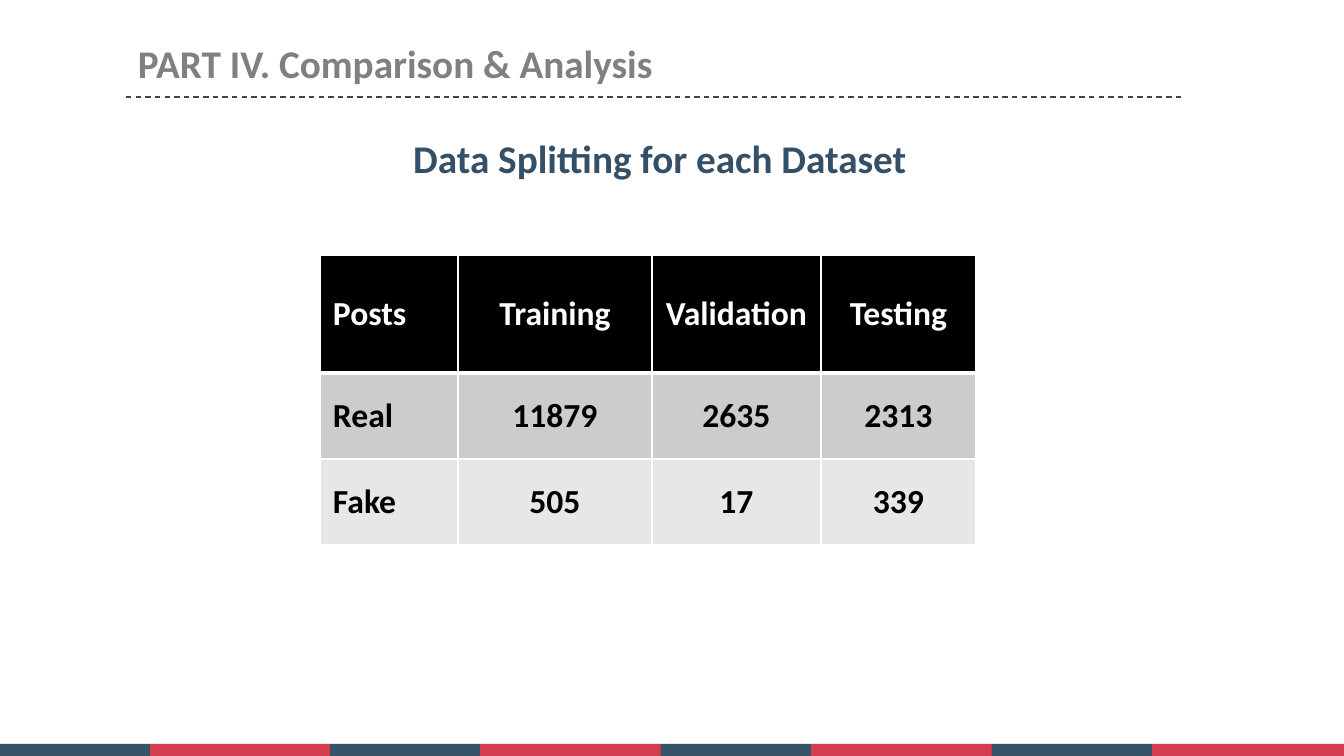
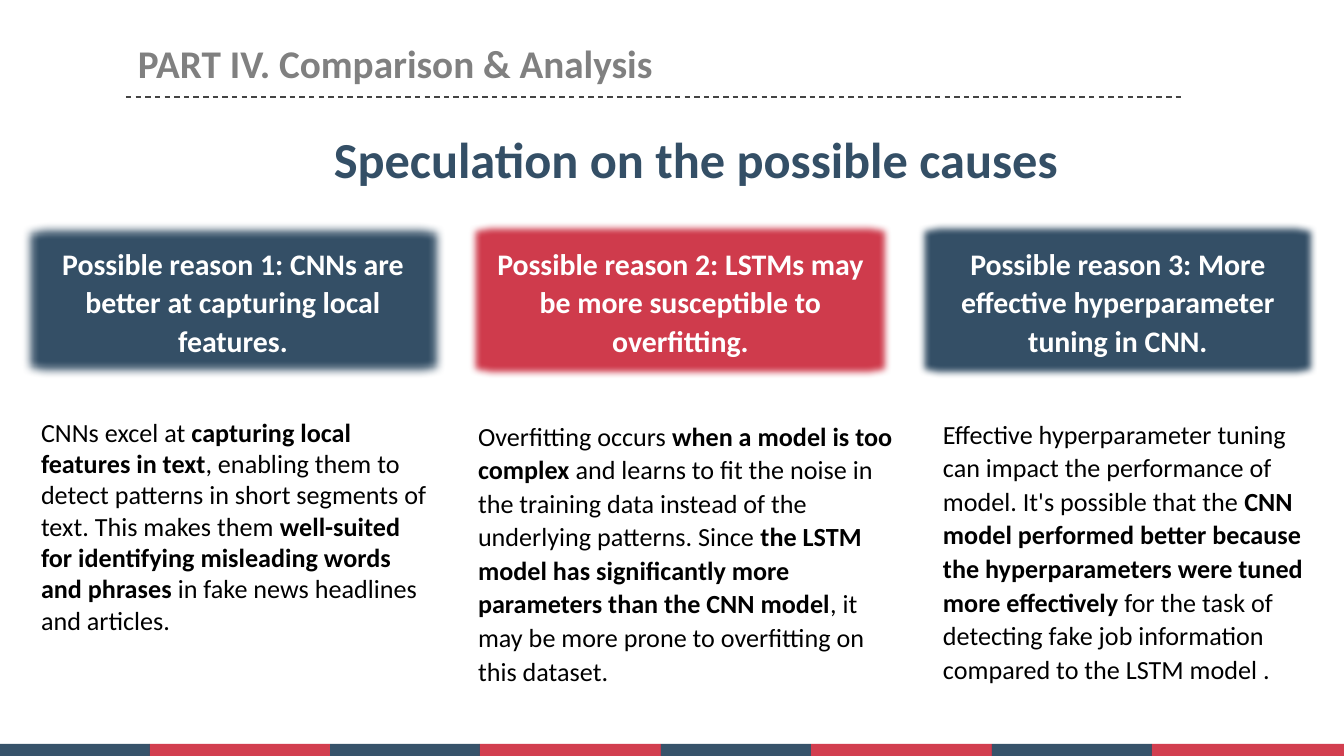
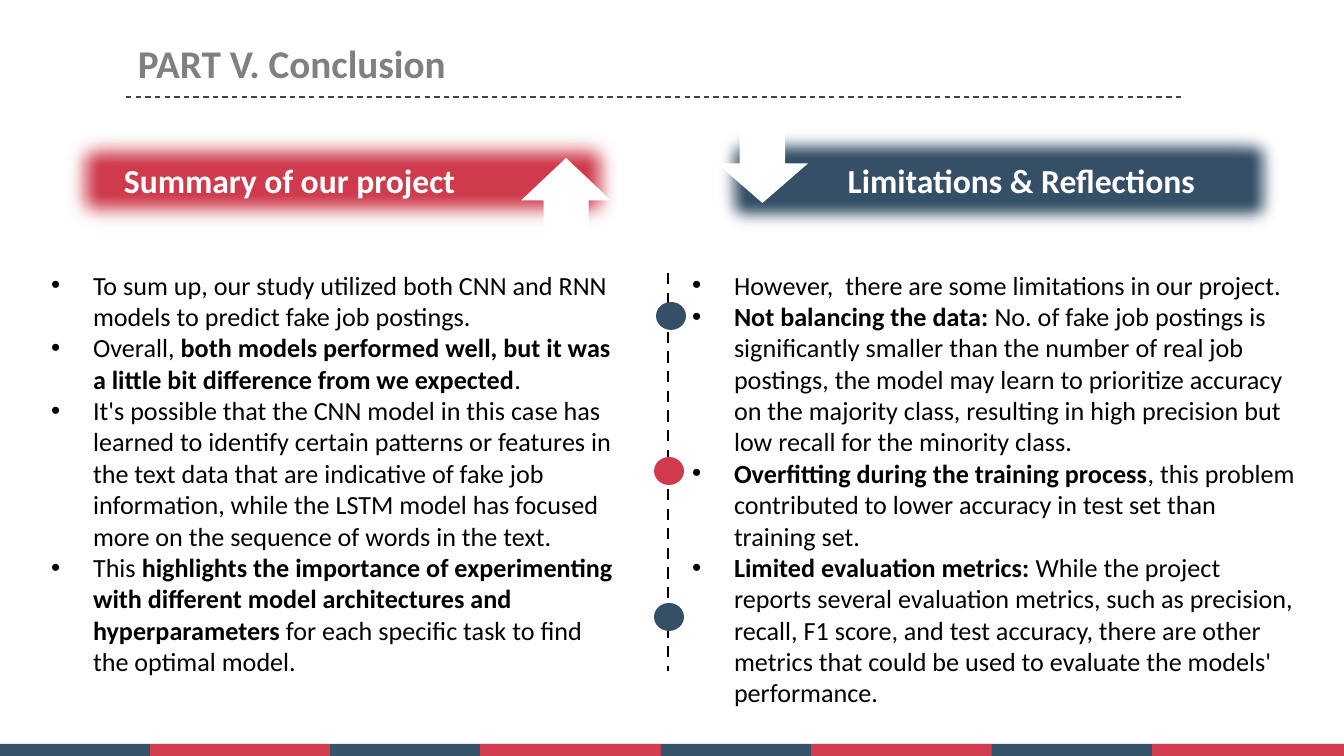
from dataclasses import dataclass

from lxml.etree import SubElement
from pptx import Presentation
from pptx.dml.color import RGBColor
from pptx.enum.dml import MSO_LINE
from pptx.enum.shapes import MSO_CONNECTOR, MSO_SHAPE as SHAPE
from pptx.enum.text import MSO_ANCHOR as ANCHOR, MSO_AUTO_SIZE, PP_ALIGN as ALIGN
from pptx.oxml.ns import qn
from pptx.util import Pt

EMU_PER_PX = 914400 / 134.4


@dataclass(frozen=True)
class Theme:
    font: str = "Calibri"
    navy: str = "344F66"
    red: str = "CF3B4C"
    band_navy: str = "062845"
    band_red: str = "C70E23"
    band_alpha: int = 80
    rule: str = "444444"
    title: str = "808080"
    black: str = "000000"
    white: str = "FFFFFF"
    row_dark: str = "CCCCCC"
    row_light: str = "E7E7E7"
    title_size: int = 21
    big_size: int = 27
    bar_size: int = 18
    card_size: int = 16
    body_size: int = 14


T = Theme()

# Content: ** switches bold on and off
PART_4 = "PART IV. Comparison & Analysis"
PART_5 = "PART V. Conclusion"

SPLIT_HEADING = "Data Splitting for each Dataset"
SPLIT_ROWS = [
    ("Posts", "Training", "Validation", "Testing"),
    ("Real", "11879", "2635", "2313"),
    ("Fake", "505", "17", "339"),
]

CAUSES_HEADING = "Speculation on the possible causes"
CAUSES = [
    dict(
        head="Possible reason 1: CNNs are better at capturing local features.",
        body="CNNs excel at **capturing local features in text**, enabling them to detect "
             "patterns in short segments of text. This makes them **well-suited for "
             "identifying misleading words and phrases** in fake news headlines and articles.",
        color=T.navy, card=(21, 424), text=(28, 409, 417, 267), soft=5, para={}),
    dict(
        head="Possible reason 2: LSTMs may be more susceptible to overfitting.",
        body="Overfitting occurs** when a model is too complex **and learns to fit the noise "
             "in the training data instead of the underlying patterns. Since **the LSTM model "
             "has significantly more parameters than the CNN model**, it may be more prone to "
             "overfitting on this dataset.",
        color=T.red, card=(469, 423), text=(465, 411, 446, 284), soft=4,
        para=dict(line_spacing=1.07, space_after=Pt(8))),
    dict(
        head="Possible reason 3: More effective hyperparameter tuning in CNN.",
        body="Effective hyperparameter tuning can impact the performance of model. It's "
             "possible that the **CNN model performed better because the hyperparameters were "
             "tuned more effectively **for the task of detecting fake job information compared "
             "to the LSTM model .",
        color=T.navy, card=(918, 400), text=(930, 409, 400, 284), soft=4,
        para=dict(line_spacing=1.07, space_after=Pt(8))),
]

CONCLUSIONS = [
    dict(
        head="Summary of our project", color=T.red, bar=(58, 124, 570, 113), soft=12,
        inset=66, align=ALIGN.LEFT, arrow=(521, 158, 90, 85), turn=180,
        box=(38, 262, 594, 425),
        points=[
            "To sum up, our study utilized both CNN and RNN models to predict fake job "
            "postings.",
            "Overall, **both models performed well, but it was a little bit difference from "
            "we expected**.",
            "It's possible that the CNN model in this case has learned to identify certain "
            "patterns or features in the text data that are indicative of fake job "
            "information, while the LSTM model has focused more on the sequence of words in "
            "the text.",
            "This **highlights the importance of experimenting with different model "
            "architectures and hyperparameters **for each specific task to find the optimal "
            "model.",
        ]),
    dict(
        head="Limitations & Reflections", color=T.navy, bar=(712, 124, 574, 113), soft=10,
        inset=58, align=ALIGN.CENTER, arrow=(717, 124, 91, 79), turn=0,
        box=(679, 262, 632, 460),
        points=[
            "However,  there are some limitations in our project.",
            "**Not balancing the data: **No. of fake job postings is significantly smaller "
            "than the number of real job postings, the model may learn to prioritize accuracy "
            "on the majority class, resulting in high precision but low recall for the "
            "minority class.",
            "**Overfitting during the training process**, this problem contributed to lower "
            "accuracy in test set than training set.",
            "**Limited evaluation metrics: **While the project reports several evaluation "
            "metrics, such as precision, recall, F1 score, and test accuracy, there are other "
            "metrics that could be used to evaluate the models' performance.",
        ]),
]
TIMELINE_DOTS = [(656, 302, T.navy), (654, 457, T.red), (654, 603, T.navy)]

# Shared geometry
BAND_EDGES = [0, 150, 330, 480, 661, 811, 992, 1152, 1344]
BAND_TOP, BAND_H = 744, 12
TITLE_BOX = (138, 39, 716, 47)
CARD_TOP, CARD_H = 222, 157
CORNER_W, CORNER_H = 16, 3
INSETS = (13, 7, 13, 7)
BULLET_INDENT = 42


def px(*values):
    return [round(v * EMU_PER_PX) for v in values]


def rgb(color):
    return RGBColor.from_string(color)


def assign(obj, values):
    for name, value in values.items():
        setattr(obj, name, value)


def place(s, box):
    assign(s, dict(zip(("left", "top", "width", "height"), px(*box))))


def write(tf, texts, size, color, bold=False, align=ALIGN.LEFT, anchor=ANCHOR.TOP,
          insets=INSETS, para=None):
    """Fill a text frame, one paragraph per text."""
    assign(tf, dict(word_wrap=True, auto_size=MSO_AUTO_SIZE.NONE, vertical_anchor=anchor))
    names = ("margin_left", "margin_top", "margin_right", "margin_bottom")
    assign(tf, dict(zip(names, px(*insets))))
    for i, text in enumerate(texts):
        p = tf.add_paragraph() if i else tf.paragraphs[0]
        assign(p, dict(alignment=align, space_before=Pt(0)) | (para or {}))
        for k, part in enumerate(text.split("**")):
            if part:
                r = p.add_run()
                r.text = part
                assign(r.font, dict(name=T.font, size=Pt(size), bold=bold or k % 2 == 1))
                r.font.color.rgb = rgb(color)


def paint(s, color, soft=0):
    """Flat fill without line or shadow; soft is the edge blur in points."""
    s.shadow.inherit = False
    s.fill.solid()
    s.fill.fore_color.rgb = rgb(color)
    s.line.fill.background()
    if soft:
        effects = s.element.spPr.find(qn("a:effectLst"))
        SubElement(effects, qn("a:softEdge"), rad=str(Pt(soft)))
    return s


def add_shape(slide, kind, box, color, soft=0):
    return paint(slide.shapes.add_shape(kind, *px(*box)), color, soft)


def add_dashes(slide, ends, color, width):
    c = slide.shapes.add_connector(MSO_CONNECTOR.STRAIGHT, *px(*ends))
    c.line.color.rgb = rgb(color)
    assign(c.line, dict(width=Pt(width), dash_style=MSO_LINE.DASH))
    SubElement(c.element.spPr, qn("a:effectLst"))
    return c


def add_text(slide, box, text, size, color, **fmt):
    s = slide.shapes.add_textbox(*px(*box))
    write(s.text_frame, [text], size, color, **fmt)


def add_heading(slide, box, text, size):
    add_text(slide, box, text, size, T.navy, bold=True, align=ALIGN.CENTER,
             anchor=ANCHOR.MIDDLE, insets=(0, 0, 0, 0))


def add_slide(prs, layout, title):
    slide = prs.slides.add_slide(prs.slide_layouts.get_by_name(layout))
    s = slide.shapes.title
    place(s, TITLE_BOX)
    write(s.text_frame, [title], T.title_size, T.title, bold=True, insets=(0, 0, 0, 0))
    return slide


def decorate_master(prs, slide):
    """Draw the footer band and title rule, then move them to the master."""
    parts = [add_dashes(slide, (126, 97, 1181, 97), T.rule, 0.75)]
    for i, (left, right) in enumerate(zip(BAND_EDGES, BAND_EDGES[1:])):
        s = add_shape(slide, SHAPE.RECTANGLE, (left, BAND_TOP, right - left, BAND_H),
                      T.band_red if i % 2 else T.band_navy)
        clr = s.element.spPr.find(qn("a:solidFill"))[0]
        SubElement(clr, qn("a:alpha"), val=str(T.band_alpha * 1000))
        parts.append(s)
    for s in parts:
        prs.slide_master.shapes.element.append(s.element)


def set_borders(cell, widths):
    tcPr = cell._tc.get_or_add_tcPr()
    for i, (side, width) in enumerate(widths.items()):
        ln = SubElement(tcPr, qn(f"a:ln{side}"), w=str(Pt(width)))
        SubElement(SubElement(ln, qn("a:solidFill")), qn("a:srgbClr"), val=T.white)
        tcPr.insert(i, ln)


def add_split_table(slide):
    cols, rows = (138, 194, 169, 155), (118, 86, 86)
    fills = (T.black, T.row_dark, T.row_light)
    table = slide.shapes.add_table(len(rows), len(cols),
                                   *px(320, 255, sum(cols), sum(rows))).table
    for col, w in zip(table.columns, px(*cols)):
        col.width = w
    for i, (row, h) in enumerate(zip(table.rows, px(*rows))):
        row.height = h
        for j, cell in enumerate(row.cells):
            cell.fill.solid()
            cell.fill.fore_color.rgb = rgb(fills[i])
            set_borders(cell, dict(L=1, R=1, T=3 if i == 1 else 1, B=1 if i else 3))
            names = ("margin_left", "margin_top", "margin_right", "margin_bottom")
            assign(cell, dict(zip(names, px(*INSETS)), vertical_anchor=ANCHOR.MIDDLE))
            p = cell.text_frame.paragraphs[0]
            p.alignment = ALIGN.CENTER if j else ALIGN.LEFT
            r = p.add_run()
            r.text = SPLIT_ROWS[i][j]
            assign(r.font, dict(name=T.font, size=Pt(T.bar_size), bold=True))
            r.font.color.rgb = rgb(T.black if i else T.white)


def add_cause(slide, cause):
    left, width = cause["card"]
    right, bottom = left + width, CARD_TOP + CARD_H
    x1, x2 = left + CORNER_W, right - CORNER_W
    y1, y2 = CARD_TOP + CORNER_H, bottom - CORNER_H
    outline = [(x1, CARD_TOP), (x2, CARD_TOP), (right, y1), (right, y2),
               (x2, bottom), (x1, bottom), (left, y2), (left, y1)]
    fb = slide.shapes.build_freeform(*outline[0], scale=EMU_PER_PX)
    fb.add_line_segments(outline[1:], close=True)
    s = paint(fb.convert_to_shape(), cause["color"], cause["soft"])
    write(s.text_frame, [cause["head"]], T.card_size, T.white, bold=True,
          align=ALIGN.CENTER, anchor=ANCHOR.MIDDLE,
          para=dict(line_spacing=1.07, space_before=Pt(12), space_after=Pt(8)))
    add_text(slide, cause["text"], cause["body"], T.body_size, T.black, para=cause["para"])


def add_conclusion(slide, body, part):
    bar = add_shape(slide, SHAPE.RECTANGLE, part["bar"], part["color"], part["soft"])
    write(bar.text_frame, [part["head"]], T.bar_size, T.white, bold=True,
          align=part["align"], anchor=ANCHOR.MIDDLE, insets=(part["inset"], *INSETS[1:]))
    arrow = add_shape(slide, SHAPE.DOWN_ARROW, part["arrow"], T.white)
    arrow.rotation = part["turn"]
    # Bulleted list
    place(body, part["box"])
    write(body.text_frame, part["points"], T.body_size, T.black)
    indent = px(BULLET_INDENT)[0]
    for p in body.text_frame.paragraphs:
        pPr = p._p.get_or_add_pPr()
        pPr.set("marL", str(indent))
        pPr.set("indent", str(-indent))
        SubElement(pPr, qn("a:buFont"), typeface="Arial")
        SubElement(pPr, qn("a:buChar"), char="•")


def main():
    prs = Presentation()
    prs.slide_width, prs.slide_height = px(1344, 756)

    # Data splitting
    slide = add_slide(prs, "Title Only", PART_4)
    decorate_master(prs, slide)
    add_split_table(slide)
    add_heading(slide, (343, 134, 634, 47), SPLIT_HEADING, T.title_size)

    # Possible causes
    slide = add_slide(prs, "Title Only", PART_4)
    add_heading(slide, (313, 128, 766, 60), CAUSES_HEADING, T.big_size)
    for cause in CAUSES:
        add_cause(slide, cause)

    # Conclusion
    slide = add_slide(prs, "Two Content", PART_5)
    for idx, part in enumerate(CONCLUSIONS, start=1):
        add_conclusion(slide, slide.placeholders[idx], part)
    add_dashes(slide, (668, 273, 668, 671), T.black, 1.5)
    for left, top, color in TIMELINE_DOTS:
        add_shape(slide, SHAPE.OVAL, (left, top, 30, 28), color)

    prs.save("out.pptx")


if __name__ == "__main__":
    main()
